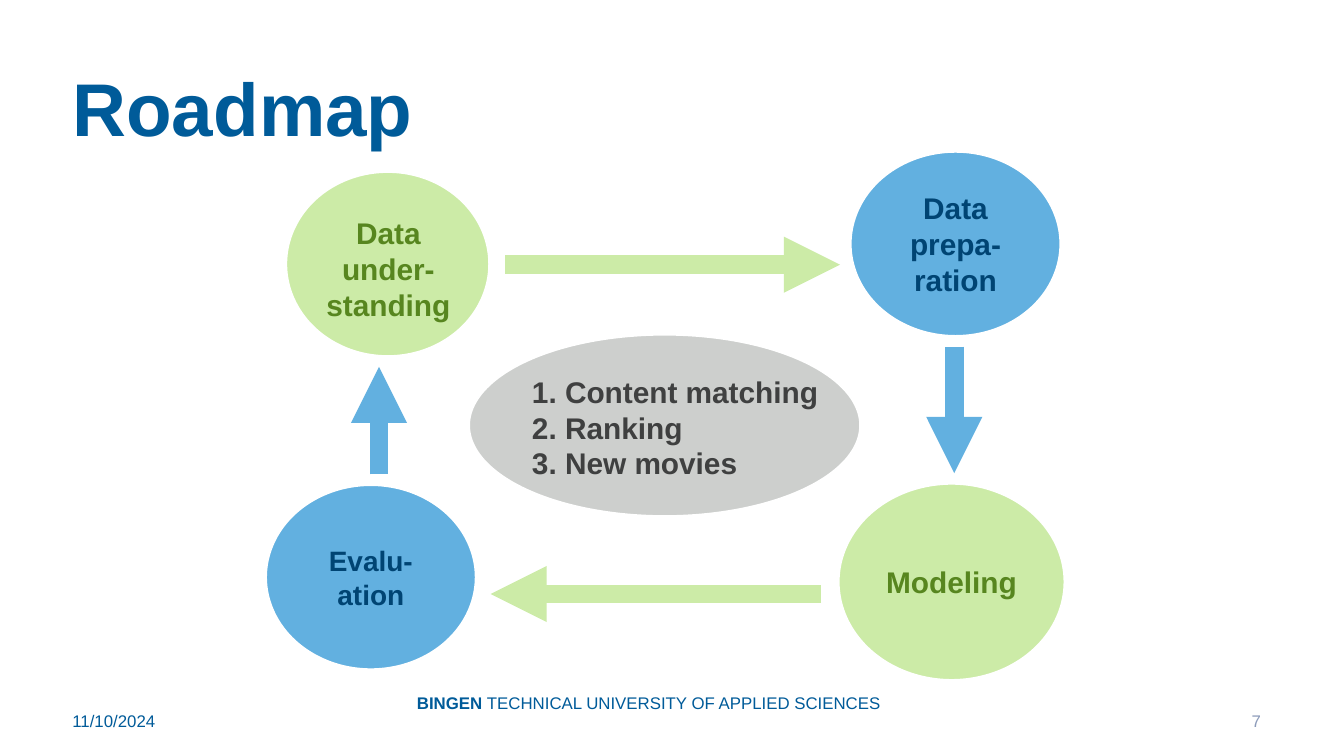
from pptx import Presentation
from pptx.dml.color import RGBColor
from pptx.enum.shapes import MSO_CONNECTOR, MSO_SHAPE
from pptx.enum.text import MSO_ANCHOR, PP_ALIGN
from pptx.oxml.ns import qn
from pptx.util import Inches, Pt
from lxml import etree

LEFT, CENTER, RIGHT = PP_ALIGN.LEFT, PP_ALIGN.CENTER, PP_ALIGN.RIGHT
TOP, MIDDLE = MSO_ANCHOR.TOP, MSO_ANCHOR.MIDDLE
OVAL, STRAIGHT = MSO_SHAPE.OVAL, MSO_CONNECTOR.STRAIGHT

COLORS = {
    "navy": "005B99", "number": "8C9BBA", "white": "FFFFFF",
    "gray": "CDCFCD", "dark gray": "3F4040",
    "green": "CCEBA7", "dark green": "57861F",
    "blue": "62B0E0", "dark blue": "004473",
}

TITLE = ("Roadmap", (0.44, 0.29, 6.59, 1.09))
FOOTERS = [
    ((0.44, 5.21, 2.25, 0.3), LEFT, "navy", [("11/10/2024", False)]),
    ((2.97, 5.08, 3.71, 0.3), CENTER, "navy",
     [("BINGEN ", True), ("TECHNICAL UNIVERSITY OF APPLIED SCIENCES", False)]),
    ((7.23, 5.21, 2.25, 0.3), RIGHT, "number", [("7", False)]),
]
STAGES = [
    ((3.49, 2.49, 2.91, 1.35), "gray", "", 16),
    ((2.13, 1.28, 1.51, 1.37), "green", "", 16),
    ((6.33, 1.13, 1.56, 1.37), "blue", "Data prepa- ration", 16),
    ((6.24, 3.6, 1.68, 1.46), "green", "Modeling", 16),
    ((1.98, 3.61, 1.56, 1.37), "blue", "Evalu-ation", 15),
]
LABELS = [
    ((3.86, 2.73, 2.48, 0.83), LEFT, "dark gray",
     ["1. Content matching", "2. Ranking", "3. New movies"]),
    ((2.3, 1.55, 1.18, 0.83), CENTER, "dark green", ["Data under-standing"]),
]
ARROWS = [
    ((3.76, 1.97, 6.25, 1.97), "green"),
    ((6.11, 4.42, 3.65, 4.42), "green"),
    ((2.82, 3.53, 2.82, 2.73), "blue"),
    ((7.1, 2.58, 7.1, 3.52), "blue"),
]


def inches(values):
    return [Inches(value) for value in values]


def color(name):
    return RGBColor.from_string(COLORS[name])


def write(frame, paragraphs, size, ink, align, anchor):
    frame.word_wrap = True
    frame.vertical_anchor = anchor
    for index, spans in enumerate(paragraphs):
        para = frame.add_paragraph() if index else frame.paragraphs[0]
        para.alignment = align
        for text, bold in spans:
            span = para.add_run()
            span.text = text
            formats = {"name": "Arial", "size": Pt(size), "bold": bold}
            for key, value in formats.items():
                setattr(span.font, key, value)
            span.font.color.rgb = color(ink)


def add_text(page, place, *style):
    box = page.shapes.add_textbox(*inches(place))
    write(box.text_frame, *style)


def add_stage(page, place, fill, text, size):
    oval = page.shapes.add_shape(OVAL, *inches(place))
    oval.shadow.inherit = False
    oval.fill.solid()
    oval.fill.fore_color.rgb = color(fill)
    oval.line.color.rgb = color("white")
    oval.line.width = Pt(1)
    if text:
        write(oval.text_frame, [[(text, True)]], size, "dark " + fill, CENTER, MIDDLE)


def add_arrow(page, ends, ink):
    arrow = page.shapes.add_connector(STRAIGHT, *inches(ends))
    arrow.line.color.rgb = color(ink)
    arrow.line.width = Pt(10)
    properties = arrow._element.spPr
    etree.SubElement(properties.find(qn("a:ln")), qn("a:tailEnd"), type="triangle")
    etree.SubElement(properties, qn("a:effectLst"))


def main():
    deck = Presentation()
    deck.slide_width = Inches(10)
    deck.slide_height = Inches(10 * 9 / 16)
    page = deck.slides.add_slide(deck.slide_layouts[5])

    text, place = TITLE
    title = page.shapes.title
    for key, value in zip(("left", "top", "width", "height"), inches(place)):
        setattr(title, key, value)
    write(title.text_frame, [[(text, True)]], 40, "navy", LEFT, MIDDLE)
    title.text_frame.paragraphs[0].line_spacing = 0.9

    for place, align, ink, spans in FOOTERS:
        add_text(page, place, [spans], 9, ink, align, MIDDLE)
    for stage in STAGES:
        add_stage(page, *stage)
    for place, align, ink, lines in LABELS:
        add_text(page, place, [[(line, True)] for line in lines], 16, ink, align, TOP)
    for arrow in ARROWS:
        add_arrow(page, *arrow)

    deck.save("out.pptx")


if __name__ == "__main__":
    main()
